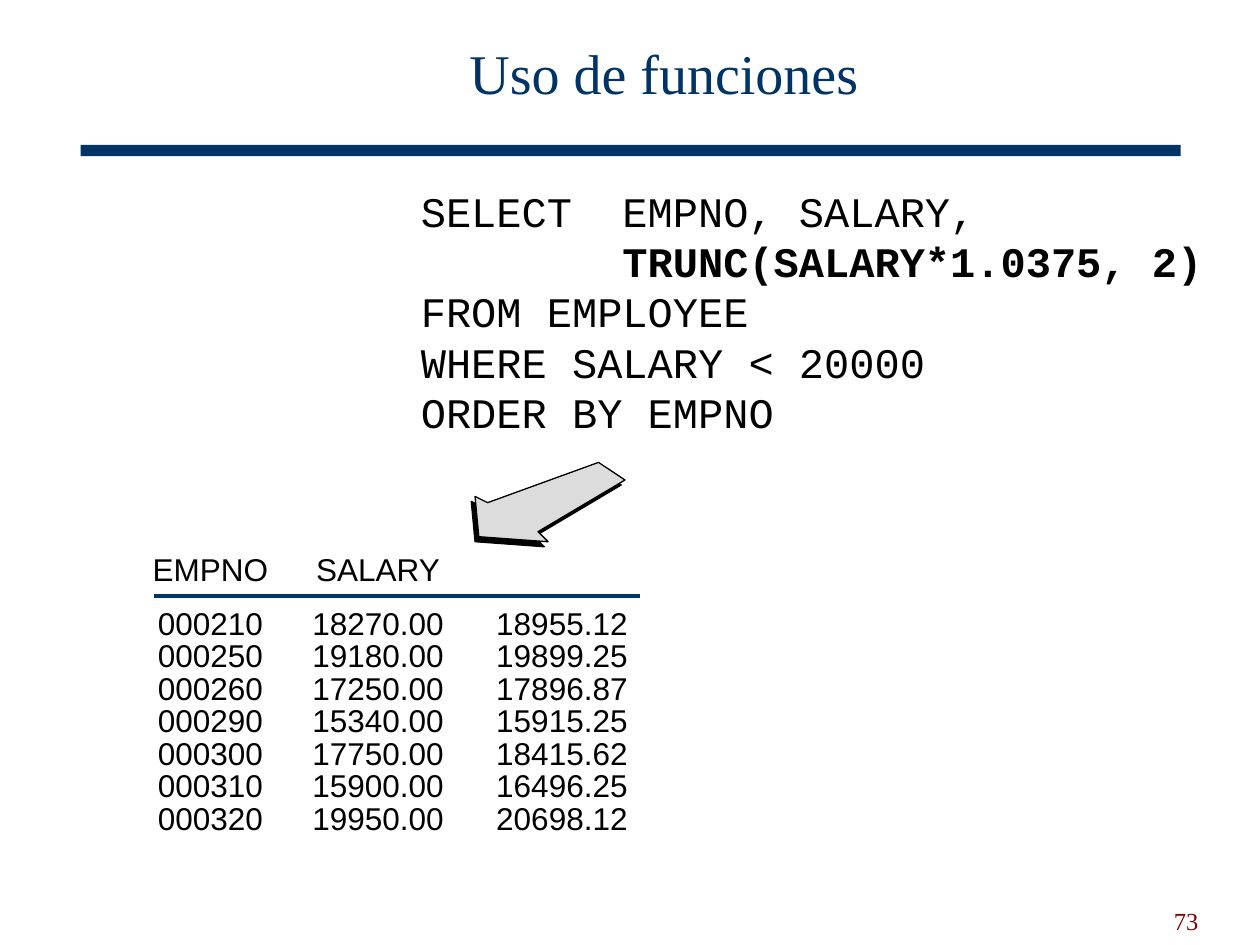
from typing import NamedTuple

from lxml import etree
from pptx import Presentation
from pptx.dml.color import RGBColor
from pptx.enum.shapes import MSO_CONNECTOR, MSO_SHAPE
from pptx.enum.text import MSO_ANCHOR, MSO_AUTO_SIZE, PP_ALIGN
from pptx.oxml.ns import qn
from pptx.util import Inches, Pt

LEFT, CENTER, RIGHT = PP_ALIGN.LEFT, PP_ALIGN.CENTER, PP_ALIGN.RIGHT
TOP, MIDDLE, BOTTOM = MSO_ANCHOR.TOP, MSO_ANCHOR.MIDDLE, MSO_ANCHOR.BOTTOM
NAVY = RGBColor(0x00, 0x33, 0x66)
MAROON = RGBColor(0x80, 0x00, 0x00)
BLACK = RGBColor(0x00, 0x00, 0x00)
GRAY = RGBColor(0xDC, 0xDC, 0xDC)

COLS, ROWS = 100, 75  # the slide as a grid of square cells
CELL = Inches(0.1)


class Area(NamedTuple):
    """A place on the grid, in columns and rows."""
    col: float
    row: float
    wide: float
    high: float


class Style(NamedTuple):
    name: str
    size: float
    color: RGBColor
    align: PP_ALIGN = LEFT


TITLE = Style("Times New Roman", 32, NAVY, CENTER)
NUMBER = Style("Times New Roman", 14, MAROON, RIGHT)
CODE = Style("Courier New", 24, BLACK)
DATA = Style("Arial", 18, BLACK, CENTER)

SELECT = "SELECT  EMPNO, SALARY, \v        "
TRUNC = "TRUNC(SALARY*1.0375, 2)"
CLAUSES = ["FROM EMPLOYEE", "WHERE SALARY < 20000", "ORDER BY EMPNO"]

HEADS = ("EMPNO", "SALARY", "")
RECORDS = [
    ("000210", "18270.00", "18955.12"),
    ("000250", "19180.00", "19899.25"),
    ("000260", "17250.00", "17896.87"),
    ("000290", "15340.00", "15915.25"),
    ("000300", "17750.00", "18415.62"),
    ("000310", "15900.00", "16496.25"),
    ("000320", "19950.00", "20698.12"),
]
WIDTHS = (13.4, 13.2, 16)
HEAD_HIGH, ROW_HIGH = 4.3, 2.57
ARROW = [(49.6, 38.1), (47.5, 36.7), (38.7, 39.9), (37.7, 39.4),
         (38, 42.6), (43.5, 43), (42.7, 42.2)]
SHADE = (-0.3, 0.4)  # offset of the arrow's dark copy


def span(cells: float) -> int:
    return round(cells * CELL)


def put(item, values: dict) -> None:
    for key, value in values.items():
        setattr(item, key, value)


def place(shape, area: Area) -> None:
    put(shape, dict(zip(("left", "top", "width", "height"), map(span, area))))


def frame(text, inset: tuple, anchor: MSO_ANCHOR, wrap: bool) -> None:
    side, edge = map(span, inset)
    put(text, {
        "auto_size": MSO_AUTO_SIZE.NONE, "word_wrap": wrap,
        "vertical_anchor": anchor, "margin_left": side, "margin_right": side,
        "margin_top": edge, "margin_bottom": edge,
    })


def format_text(text, style: Style) -> None:
    for para in text.paragraphs:
        para.alignment = style.align
        for run in para.runs:
            put(run.font, {"name": style.name, "size": Pt(style.size)})
            run.font.color.rgb = style.color


def add_bar(slide, area: Area) -> None:
    bar = slide.shapes.add_shape(MSO_SHAPE.RECTANGLE, *map(span, area))
    bar.shadow.inherit = False
    bar.fill.solid()
    bar.fill.fore_color.rgb = NAVY
    bar.line.fill.background()


def set_title(slide, words: str) -> None:
    title = slide.shapes.title
    place(title, Area(12.3, 1.4, 80.8, 9.4))
    text = title.text_frame
    text.text = words
    frame(text, (1, 0.5), MIDDLE, True)
    text.paragraphs[0].line_spacing = 0.85
    format_text(text, TITLE)


def add_number(slide, words: str) -> None:
    box = slide.shapes.add_textbox(*map(span, Area(72.1, 69.7, 24, 5)))
    text = box.text_frame
    text.text = words
    frame(text, (1, 0.5), BOTTOM, True)
    format_text(text, NUMBER)


def add_query(slide) -> None:
    box = slide.shapes.add_textbox(*map(span, Area(33.4, 14.7, 62, 20)))
    text = box.text_frame
    frame(text, (0, 0), TOP, False)
    first = text.paragraphs[0]
    first.text = SELECT
    call = first.add_run()
    call.text = TRUNC
    call.font.bold = True
    for clause in CLAUSES:
        text.add_paragraph().text = clause
    format_text(text, CODE)


def add_arrow(slide) -> None:
    group = slide.shapes.add_group_shape()
    for (right, down), color in ((SHADE, BLACK), ((0, 0), GRAY)):
        start, *rest = [(span(x + right), span(y + down)) for x, y in ARROW]
        draft = group.shapes.build_freeform(*start)
        draft.add_line_segments(rest, close=True)
        arrow = draft.convert_to_shape()
        arrow.shadow.inherit = False
        arrow.fill.solid()
        arrow.fill.fore_color.rgb = color
        arrow.line.color.rgb = BLACK
        arrow.line.width = Pt(0.75)


def add_result(slide) -> None:
    lines = [HEADS, *RECORDS]
    area = Area(10, 44.1, sum(WIDTHS), HEAD_HIGH + ROW_HIGH * len(RECORDS))
    table = slide.shapes.add_table(
        len(lines), len(HEADS), *map(span, area)).table
    put(table, {"first_row": False, "horz_banding": False})
    for column, wide in zip(table.columns, WIDTHS):
        column.width = span(wide)
    for index, (row, values) in enumerate(zip(table.rows, lines)):
        row.height = span(ROW_HIGH if index else HEAD_HIGH)
        for cell, value in zip(row.cells, values):
            cell.fill.background()
            put(cell, dict.fromkeys(
                ("margin_left", "margin_right", "margin_top",
                 "margin_bottom"), 0))
            cell.vertical_anchor = TOP
            cell.text = value
            cell.text_frame.paragraphs[0].line_spacing = Pt(18.5)
            format_text(cell.text_frame, DATA)


def add_rule(slide, start: float, end: float, row: float) -> None:
    rule = slide.shapes.add_connector(
        MSO_CONNECTOR.STRAIGHT, *map(span, (start, row, end, row)))
    rule.line.color.rgb = NAVY
    rule.line.width = Pt(2.25)
    etree.SubElement(rule._element.spPr, qn("a:effectLst"))


def main() -> None:
    deck = Presentation()
    put(deck, {"slide_width": span(COLS), "slide_height": span(ROWS)})
    slide = deck.slides.add_slide(deck.slide_layouts.get_by_name("Title Only"))
    add_bar(slide, Area(6.4, 11.5, 87.3, 0.9))
    add_number(slide, "73")
    set_title(slide, "Uso de funciones")
    add_query(slide)
    add_arrow(slide)
    add_result(slide)
    add_rule(slide, 12.2, 50.8, 47.3)
    deck.save("out.pptx")


if __name__ == "__main__":
    main()
